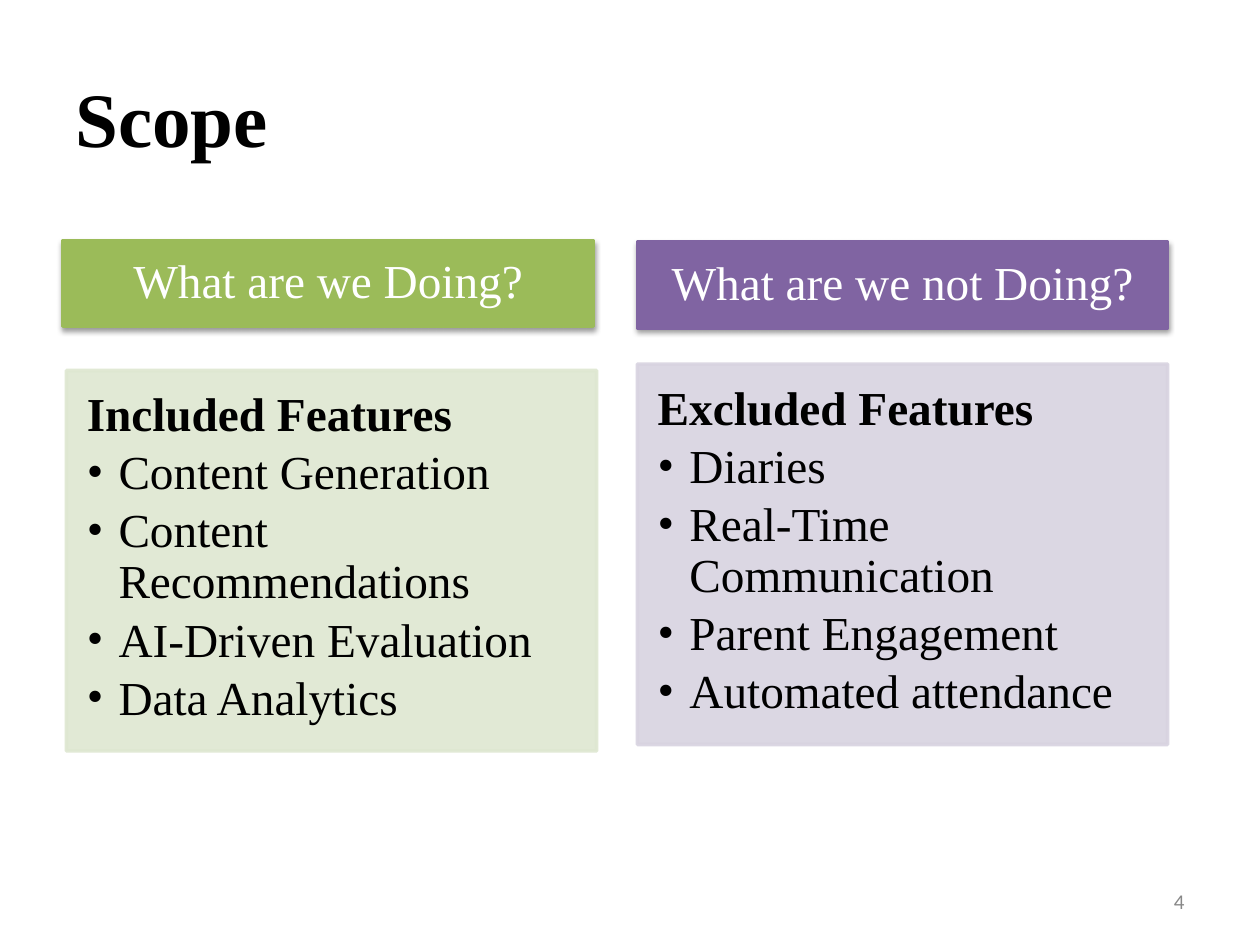
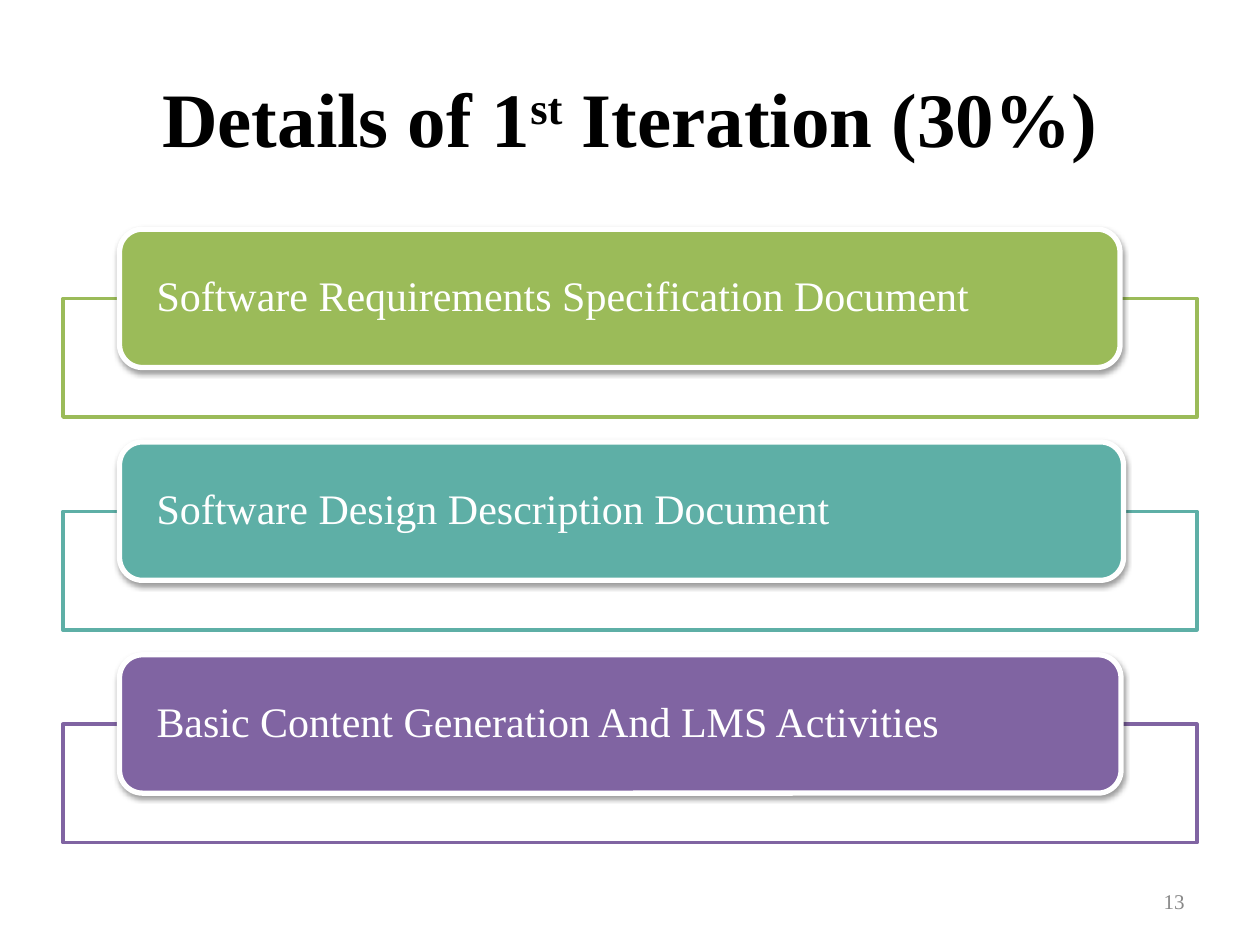
from lxml.etree import SubElement
from pptx import Presentation
from pptx.dml.color import RGBColor
from pptx.enum.shapes import MSO_SHAPE as Shape
from pptx.enum.text import MSO_ANCHOR as Anchor, PP_ALIGN as Align
from pptx.oxml.ns import qn
from pptx.util import Cm, Pt

BLACK = RGBColor(0x00, 0x00, 0x00)
WHITE = RGBColor(0xFF, 0xFF, 0xFF)
GREY = RGBColor(0x88, 0x88, 0x88)
GREEN = RGBColor(0x9B, 0xBB, 0x59)
TEAL = RGBColor(0x5E, 0xAF, 0xA6)
PURPLE = RGBColor(0x80, 0x64, 0xA2)
PALE_GREEN = RGBColor(0xDE, 0xE7, 0xD1)
PALE_PURPLE = RGBColor(0xD8, 0xD3, 0xE0)
SERIF = "Times New Roman"
SANS = "Calibri"

MARGIN = 1.27
CONTENT_WIDTH = 22.86
COLUMN_WIDTH = 10.69
CARD_PITCH = 4.29


def add_text(paragraph, text, size=27, color=BLACK, font=SERIF, bold=False,
             align=Align.LEFT, line_spacing=None, space_after=0, superscript=False):
    paragraph.alignment = align
    paragraph.space_after = Pt(space_after)
    if line_spacing:
        paragraph.line_spacing = line_spacing
    run = paragraph.add_run()
    run.text = text
    run.font.size = Pt(size)
    run.font.name = font
    run.font.bold = bold
    run.font.color.rgb = color
    if superscript:
        run.font._element.set("baseline", "30000")


def set_frame(shape, insets, anchor=Anchor.MIDDLE):
    frame = shape.text_frame
    frame.word_wrap = True
    frame.vertical_anchor = anchor
    left, top, right, bottom = insets
    frame.margin_left, frame.margin_top = Cm(left), Cm(top)
    frame.margin_right, frame.margin_bottom = Cm(right), Cm(bottom)
    return frame


def add_text_box(slide, left, top, width, height, insets):
    box = slide.shapes.add_textbox(Cm(left), Cm(top), Cm(width), Cm(height))
    return set_frame(box, insets).paragraphs[0]


def set_opacity(color_format, percent):
    color = color_format._xFill.find(qn("a:srgbClr"))
    SubElement(color, qn("a:alpha"), val=str(percent * 1000))


def add_shadow(shape):
    effects = shape._element.spPr.find(qn("a:effectLst"))
    shadow = SubElement(effects, qn("a:outerShdw"), blurRad=str(Pt(3.1)),
                        dist=str(Pt(1.6)), dir="5400000", rotWithShape="0")
    black = SubElement(shadow, qn("a:srgbClr"), val=str(BLACK))
    SubElement(black, qn("a:alpha"), val="38000")


def add_panel(slide, left, top, width, height, fill, line, kind=Shape.RECTANGLE,
              line_width=2, shadow=False, opacity=100):
    panel = slide.shapes.add_shape(kind, Cm(left), Cm(top), Cm(width), Cm(height))
    panel.shadow.inherit = False
    panel.fill.solid()
    panel.fill.fore_color.rgb = fill
    panel.line.color.rgb = line
    panel.line.width = Pt(line_width)
    if opacity < 100:
        set_opacity(panel.fill.fore_color, opacity)
    if shadow:
        add_shadow(panel)
    return panel


def set_hanging_indent(paragraph, bulleted):
    properties = paragraph._p.get_or_add_pPr()
    properties.set("marL", str(Cm(0.64)))
    properties.set("indent", str(-Cm(0.64)))
    if bulleted:
        SubElement(properties, qn("a:buFont"), typeface=SERIF)
        SubElement(properties, qn("a:buChar"), char="•")


def add_title(slide, parts, align):
    title = add_text_box(slide, MARGIN, 0.76, CONTENT_WIDTH, 3.18, [0.25] * 4)
    for text, superscript in parts:
        add_text(title, text, size=44, bold=True, align=align, superscript=superscript)


def add_page_number(slide, number, font):
    page = add_text_box(slide, 18.21, 17.65, 5.92, 1.02, (0.25, 0.13, 0.25, 0.13))
    add_text(page, number, size=12, color=GREY, font=font, align=Align.RIGHT)


def add_heading(slide, left, top, question, color):
    heading = add_panel(slide, left, top, COLUMN_WIDTH, 1.73, color, color, shadow=True)
    frame = set_frame(heading, (0.53, 0.3, 0.53, 0.3))
    add_text(frame.paragraphs[0], question, color=WHITE, align=Align.CENTER,
             line_spacing=0.9)


def add_features(slide, left, top, label, features, color):
    body = add_panel(slide, left, top, COLUMN_WIDTH, 7.67, color, color, opacity=90)
    set_opacity(body.line.color, 90)
    frame = set_frame(body, (0.41, 0.41, 0.53, 0.61), Anchor.TOP)
    for index, text in enumerate([label] + features):
        paragraph = frame.add_paragraph() if index else frame.paragraphs[0]
        add_text(paragraph, text, bold=index == 0, line_spacing=0.9, space_after=4)
        set_hanging_indent(paragraph, bulleted=index > 0)


def add_deliverable(slide, index, name, color, width):
    top = 4.62 + index * CARD_PITCH
    add_panel(slide, MARGIN, top + 1.4, CONTENT_WIDTH, 2.39, WHITE, color, opacity=90)
    card = add_panel(slide, 2.41, top, width, 2.79, color, WHITE,
                     kind=Shape.ROUNDED_RECTANGLE, line_width=3, shadow=True)
    frame = set_frame(card, (0.61, 0, 0.61, 0))
    add_text(frame.paragraphs[0], name, size=24, color=WHITE, line_spacing=0.9)


def build_scope(slide):
    add_title(slide, [("Scope", False)], Align.LEFT)
    add_page_number(slide, "4", SANS)
    add_heading(slide, MARGIN, 4.85, "What are we Doing?", GREEN)
    add_features(slide, 1.34, 7.47, "Included Features",
                 ["Content Generation", "Content Recommendations",
                  "AI-Driven Evaluation", "Data Analytics"], PALE_GREEN)
    add_heading(slide, 12.85, 4.88, "What are we not Doing?", PURPLE)
    add_features(slide, 12.85, 7.34, "Excluded Features",
                 ["Diaries", "Real-Time Communication",
                  "Parent Engagement", "Automated attendance"], PALE_PURPLE)


def build_iteration(slide):
    add_title(slide, [("Details of 1", False), ("st", True),
                      (" Iteration (30%)", False)], Align.CENTER)
    add_page_number(slide, "13", SERIF)
    deliverables = [
        ("Software Requirements Specification Document", GREEN, 20.17),
        ("Software Design Description Document", TEAL, 20.24),
        ("Basic Content Generation And LMS Activities", PURPLE, 20.19),
    ]
    for index, (name, color, width) in enumerate(deliverables):
        add_deliverable(slide, index, name, color, width)


def main():
    deck = Presentation()
    deck.slide_width, deck.slide_height = Cm(25.4), Cm(19.05)
    blank = deck.slide_layouts[6]
    for build in (build_scope, build_iteration):
        build(deck.slides.add_slide(blank))
    deck.save("out.pptx")


if __name__ == "__main__":
    main()
